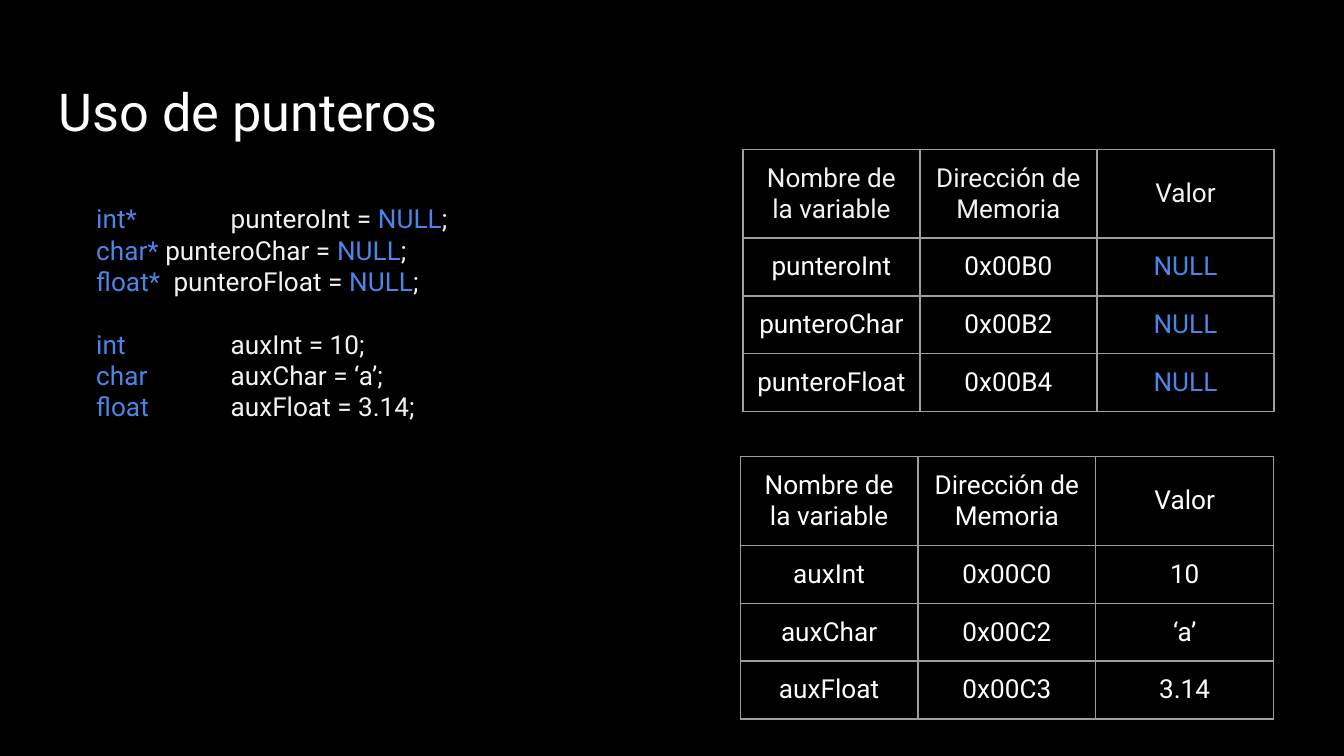
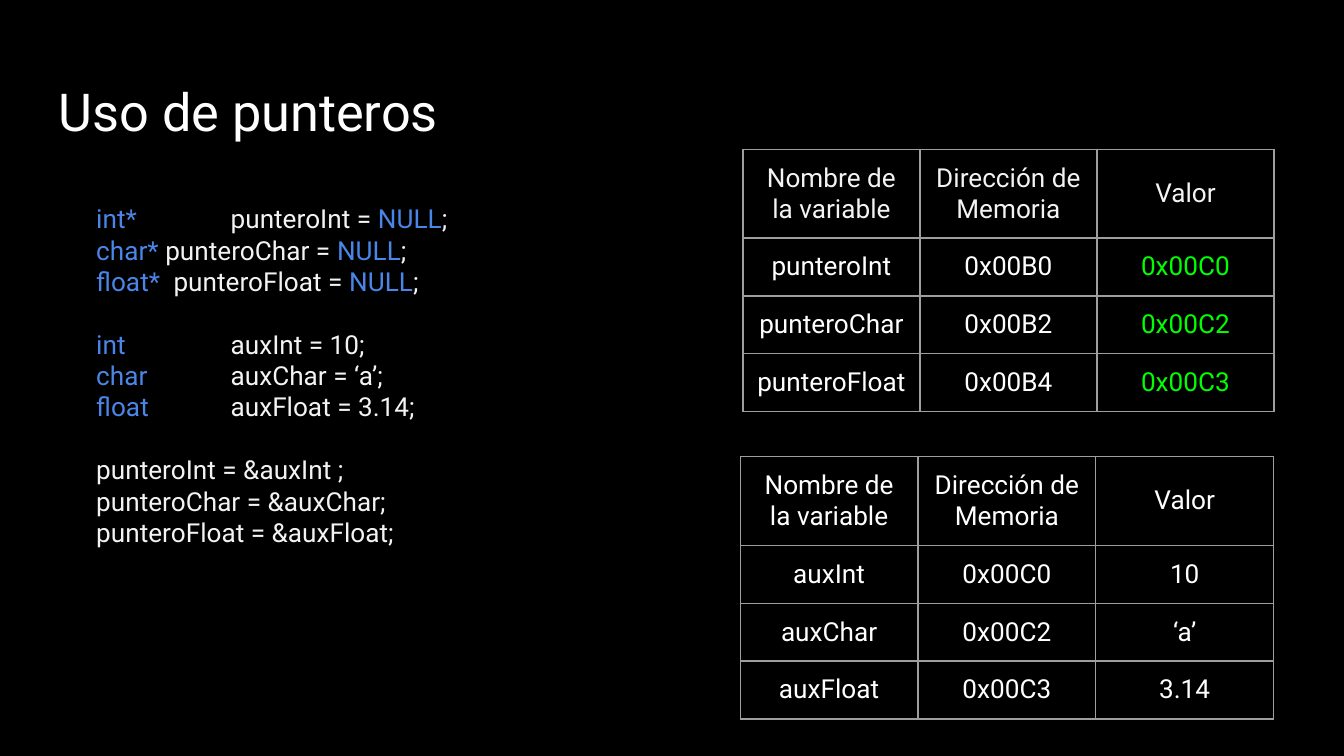
from lxml.etree import SubElement
from pptx import Presentation
from pptx.dml.color import RGBColor
from pptx.enum.text import MSO_ANCHOR, MSO_AUTO_SIZE, PP_ALIGN
from pptx.oxml.ns import qn
from pptx.util import Cm, Pt

COLORS = {
    "background": "000000",
    "text": "FFFFFF",
    "code": "F3F3F3",
    "keyword": "4A86E8",
    "address": "00FF00",
    "border": "9E9E9E",
}
FONT = "Roboto"
INSET = Cm(0.25)
LINE_HEIGHT = Pt(16.8)
TAB = Cm(2.54)
SHORT_TAB = Cm(1.46)

TITLE_BOX = (Cm(0.86), Cm(1.24), Cm(23.67), Cm(1.6))
CODE_BOX = (Cm(1.57), Cm(3.58), Cm(8.05), Cm(9.07))
POINTER_BOX = (Cm(14.04), Cm(2.82), Cm(10.04), Cm(4.96))
AUX_BOX = (Cm(13.99), Cm(8.63), Cm(10.08), Cm(4.96))

KEYWORDS = {"int*", "char*", "float*", "int", "char", "float", "NULL"}
POINTERS = [
    "int*|\tpunteroInt = |NULL|;",
    "char*| punteroChar = |NULL|;",
    "float*|\tpunteroFloat = |NULL|;",
]
AUXILIARIES = ["int|\tauxInt = 10;", "char|\tauxChar = ‘a’;", "float|\tauxFloat = 3.14;"]
ASSIGNMENTS = [
    "punteroInt = &auxInt ;",
    "punteroChar = &auxChar;",
    "punteroFloat = &auxFloat;",
]

HEADER = ("Nombre de la variable", "Dirección de Memoria", "Valor")
POINTER_CELLS = [
    ("punteroInt", "0x00B0"),
    ("punteroChar", "0x00B2"),
    ("punteroFloat", "0x00B4"),
]
AUX_ROWS = [
    ("auxInt", "0x00C0", "10"),
    ("auxChar", "0x00C2", "‘a’"),
    ("auxFloat", "0x00C3", "3.14"),
]


def set_all(obj, values):
    for name, value in values.items():
        setattr(obj, name, value)


def add_run(p, text, color, size=14):
    r = p.add_run()
    r.text = text
    set_all(r.font, {"name": FONT, "size": Pt(size), "bold": False})
    r.font.color.rgb = RGBColor.from_string(COLORS[color])


def format_frame(tf):
    margins = ("margin_left", "margin_top", "margin_right", "margin_bottom")
    set_all(tf, dict.fromkeys(margins, INSET))
    set_all(tf, {
        "word_wrap": True,
        "auto_size": MSO_AUTO_SIZE.NONE,
        "vertical_anchor": MSO_ANCHOR.TOP,
    })


def place_title(s, box, text):
    sp = s.shapes.title
    set_all(sp, dict(zip(("left", "top", "width", "height"), box)))
    format_frame(sp.text_frame)
    p = sp.text_frame.paragraphs[0]
    p.alignment = PP_ALIGN.LEFT
    add_run(p, text, "text", 28)


def set_tab(p, position):
    tabs = SubElement(p._p.get_or_add_pPr(), qn("a:tabLst"))
    SubElement(tabs, qn("a:tab"), pos=str(position), algn="l")


def add_code(s, box, blocks):
    tf = s.shapes.add_textbox(*box).text_frame
    format_frame(tf)
    p = tf.paragraphs[0]
    for i, block in enumerate(blocks):
        for j, line in enumerate(block):
            if i or j:
                p = tf.add_paragraph()
            set_tab(p, SHORT_TAB if line.startswith("float*") else TAB)
            if i and not j:
                p.space_before = LINE_HEIGHT
            for piece in line.split("|"):
                add_run(p, piece, "keyword" if piece in KEYWORDS else "code")


def add_borders(cell):
    tcPr = cell._tc.get_or_add_tcPr()
    for side in ("lnL", "lnR", "lnT", "lnB"):
        ln = SubElement(tcPr, qn(f"a:{side}"), w=str(Pt(0.75)))
        fill = SubElement(ln, qn("a:solidFill"))
        SubElement(fill, qn("a:srgbClr"), val=COLORS["border"])


def add_memory_table(s, box, rows, header_color="text", value_color="text"):
    left, top, width, height = box
    columns = len(HEADER)
    table = s.shapes.add_table(len(rows) + 1, columns, *box).table
    set_all(table, {"first_row": False, "horz_banding": False})
    header_height = Cm(1.68)
    for column in table.columns:
        column.width = width // columns
    for i, values in enumerate([HEADER, *rows]):
        table.rows[i].height = (height - header_height) // len(rows) if i else header_height
        for j, value in enumerate(values):
            cell = table.cell(i, j)
            set_all(cell, {
                "margin_left": INSET,
                "margin_right": INSET,
                "margin_top": INSET,
                "margin_bottom": INSET,
                "vertical_anchor": MSO_ANCHOR.MIDDLE,
            })
            add_borders(cell)
            cell.fill.background()
            p = cell.text_frame.paragraphs[0]
            p.alignment = PP_ALIGN.CENTER
            color = header_color if i == 0 else value_color if j == columns - 1 else "text"
            add_run(p, value, color)


def add_pointer_slide(prs, blocks, pointed, value_color):
    s = prs.slides.add_slide(prs.slide_layouts[5])
    place_title(s, TITLE_BOX, "Uso de punteros")
    add_memory_table(s, AUX_BOX, AUX_ROWS)
    add_code(s, CODE_BOX, blocks)
    rows = [(*cells, value) for cells, value in zip(POINTER_CELLS, pointed)]
    add_memory_table(s, POINTER_BOX, rows, "code", value_color)


def main():
    prs = Presentation()
    set_all(prs, {"slide_width": Cm(25.4), "slide_height": Cm(14.29)})
    fill = prs.slide_master.background.fill
    fill.solid()
    fill.fore_color.rgb = RGBColor.from_string(COLORS["background"])
    declarations = [POINTERS, AUXILIARIES]
    add_pointer_slide(prs, declarations, ["NULL"] * 3, "keyword")
    addresses = [address for _, address, _ in AUX_ROWS]
    add_pointer_slide(prs, [*declarations, ASSIGNMENTS], addresses, "address")
    prs.save("out.pptx")


if __name__ == "__main__":
    main()
